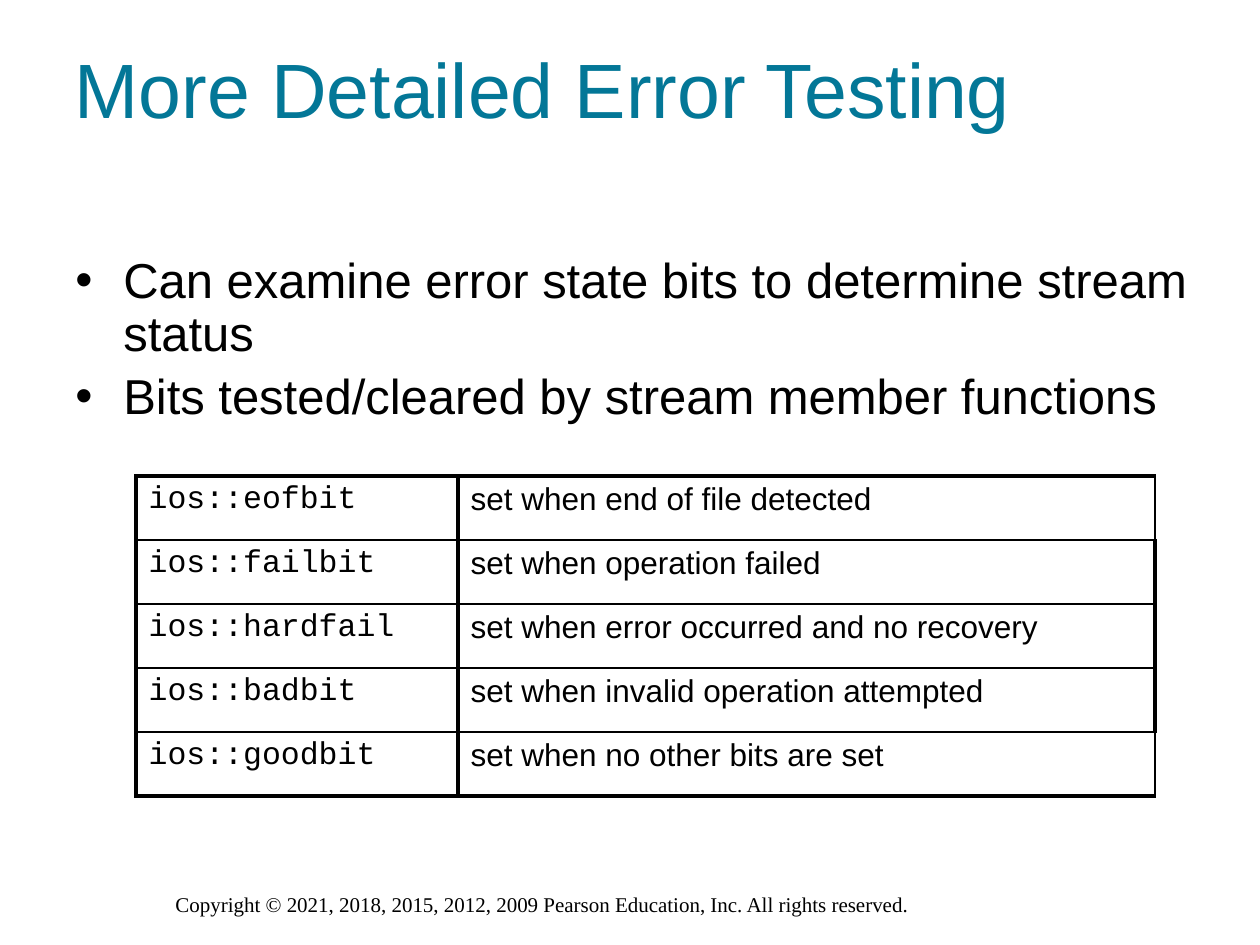
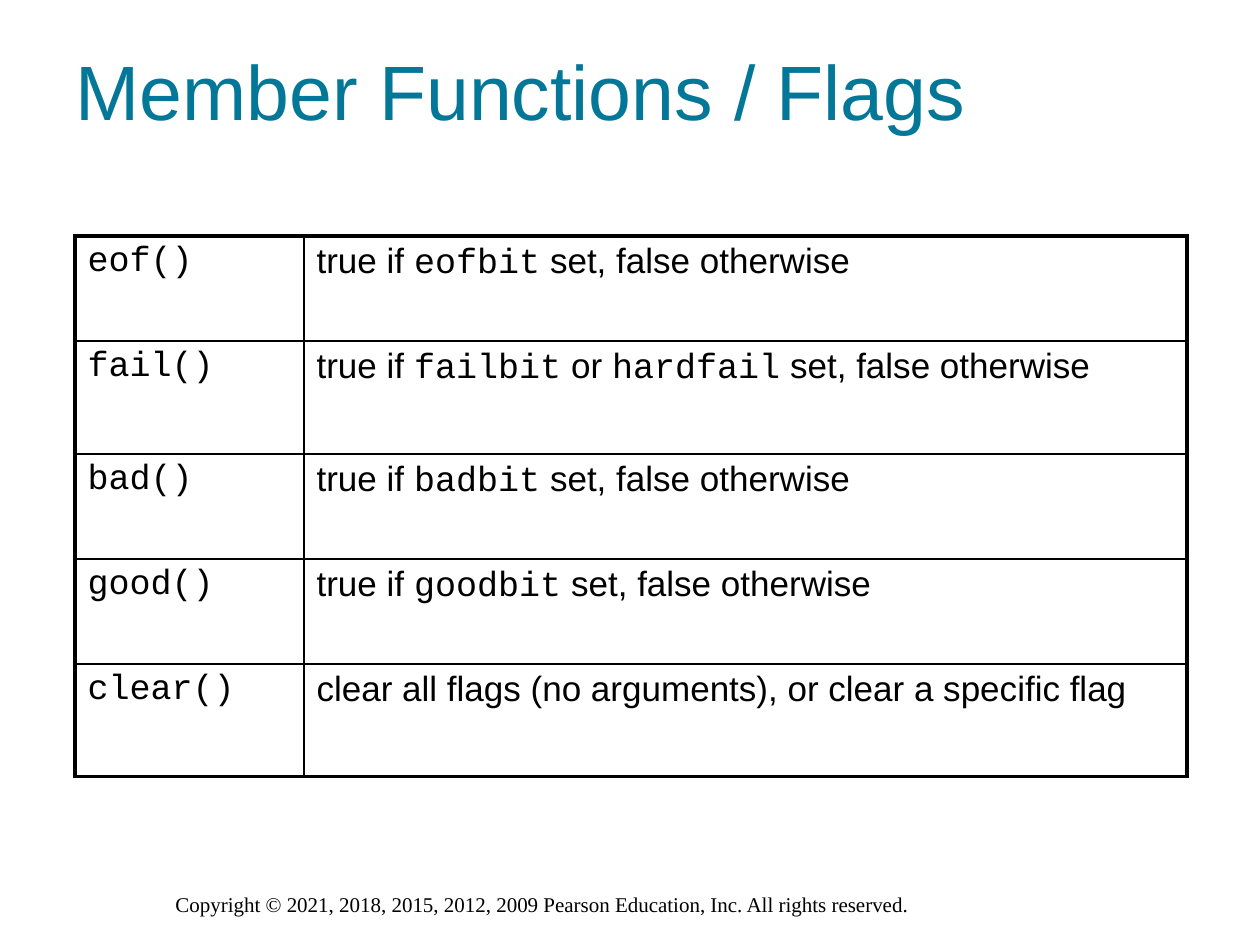
from dataclasses import dataclass

from lxml.etree import SubElement
from pptx import Presentation
from pptx.dml.color import RGBColor
from pptx.enum.text import MSO_ANCHOR, MSO_AUTO_SIZE, PP_ALIGN
from pptx.oxml.ns import qn
from pptx.util import Emu, Pt

EMU_PER_PX = 914400 / 126
TITLE_ONLY = 5


def px(length):
    return Emu(round(length * EMU_PER_PX))


def apply(target, values):
    for name, value in values.items():
        setattr(target, name, value)


@dataclass(frozen=True)
class Theme:
    heading: RGBColor = RGBColor(0x03, 0x77, 0x97)
    ink: RGBColor = RGBColor(0, 0, 0)
    sans: str = "Arial"
    code: str = "Courier New"
    serif: str = "Times New Roman"
    title_size: int = 44
    body_size: int = 28
    footer_size: int = 12
    thick: float = 2.25
    thin: float = 1
    indent: int = 48


class Deck:
    def __init__(self, theme):
        self.theme = theme
        self.presentation = Presentation()
        apply(self.presentation, {"slide_width": px(1260), "slide_height": px(945)})
        self.slide = None

    def start(self, heading, box):
        layout = self.presentation.slide_layouts[TITLE_ONLY]
        self.slide = self.presentation.slides.add_slide(layout)
        title = self.slide.shapes.title
        self.place(title, box)
        apply(title.text_frame, {
            "word_wrap": True,
            "auto_size": MSO_AUTO_SIZE.NONE,
            "vertical_anchor": MSO_ANCHOR.MIDDLE,
        })
        paragraph = title.text_frame.paragraphs[0]
        paragraph.alignment = PP_ALIGN.LEFT
        self.add_text(paragraph, heading, self.theme.title_size, color=self.theme.heading)
        self.footer()

    def place(self, shape, box):
        apply(shape, dict(zip(("left", "top", "width", "height"), map(px, box))))

    def add_text(self, paragraph, text, size, face=None, color=None):
        for index, part in enumerate(text.split("`")):
            if not part:
                continue
            run = paragraph.add_run()
            run.text = part
            is_code = index % 2 == 1
            apply(run.font, {
                "size": Pt(size),
                "name": self.theme.code if is_code else face or self.theme.sans,
            })
            run.font.color.rgb = color or self.theme.ink

    def text_frame(self, box):
        frame = self.slide.shapes.add_textbox(*map(px, box)).text_frame
        frame.word_wrap = True
        return frame

    def footer(self):
        notice = (
            "Copyright © 2021, 2018, 2015, 2012, 2009 Pearson Education, Inc. "
            "All rights reserved."
        )
        frame = self.text_frame((163, 885, 935, 38))
        self.add_text(frame.paragraphs[0], notice, self.theme.footer_size, self.theme.serif)

    def bullets(self, points, box):
        frame = self.text_frame(box)
        size = self.theme.body_size
        for index, point in enumerate(points):
            paragraph = frame.add_paragraph() if index else frame.paragraphs[0]
            properties = paragraph._p.get_or_add_pPr()
            indent = px(self.theme.indent)
            properties.set("marL", str(indent))
            properties.set("indent", str(-indent))
            SubElement(properties, qn("a:buFont"), typeface=self.theme.sans)
            SubElement(properties, qn("a:buChar"), char="•")
            apply(paragraph, {
                "line_spacing": 0.9,
                "space_before": Pt(size * 0.2 if index else 0),
            })
            self.add_text(paragraph, point, size)

    def border(self, cell, widths):
        properties = cell._tc.get_or_add_tcPr()
        for side, width in widths.items():
            line = SubElement(properties, qn(f"a:ln{side}"), w=str(Pt(width)))
            fill = SubElement(line, qn("a:solidFill"))
            SubElement(fill, qn("a:srgbClr"), val=str(self.theme.ink))

    def table(self, entries, origin, columns, heights, size, divider, right_corner):
        thick, thin = self.theme.thick, self.theme.thin
        extent = (sum(columns), sum(heights))
        table = self.slide.shapes.add_table(
            len(entries), len(columns), *map(px, origin + extent)
        ).table
        apply(table, {"first_row": False, "horz_banding": False})
        for column, width in zip(table.columns, columns):
            column.width = px(width)
        last = len(entries) - 1
        for index, (entry, height) in enumerate(zip(entries, heights)):
            table.rows[index].height = px(height)
            right = right_corner if index in (0, last) else thick
            sides = ((thick, divider), (divider, right))
            for position, (text, (left_edge, right_edge)) in enumerate(zip(entry, sides)):
                cell = table.cell(index, position)
                self.border(cell, {
                    "L": left_edge,
                    "R": right_edge,
                    "T": thin if index else thick,
                    "B": thick if index == last else thin,
                })
                cell.fill.background()
                self.add_text(cell.text_frame.paragraphs[0], text, size)


def error_testing(deck):
    deck.start("More Detailed Error Testing", (62, 9, 1134, 158))
    deck.bullets(
        [
            "Can examine error state bits to determine stream status",
            "Bits tested/cleared by stream member functions",
        ],
        (63, 250, 1145, 210),
    )
    state_bits = [
        ("`ios::eofbit`", "set when end of file detected"),
        ("`ios::failbit`", "set when operation failed"),
        ("`ios::hardfail`", "set when error occurred and no recovery"),
        ("`ios::badbit`", "set when invalid operation attempted"),
        ("`ios::goodbit`", "set when no other bits are set"),
    ]
    deck.table(
        state_bits, (136, 476), (322, 697), [64] * len(state_bits), 18,
        divider=deck.theme.thick, right_corner=deck.theme.thin,
    )


def member_functions(deck):
    deck.start("Member Functions / Flags", (63, 32, 1134, 115))
    flag_tests = [
        ("`eof()`", "true if `eofbit` set, false otherwise"),
        ("`fail()`", "true if `failbit` or `hardfail` set, false otherwise"),
        ("`bad()`", "true if `badbit` set, false otherwise"),
        ("`good()`", "true if `goodbit` set, false otherwise"),
        ("`clear()`", "clear all flags (no arguments), or clear a specific flag"),
    ]
    deck.table(
        flag_tests, (75, 236), (229, 883), (105, 113, 105, 105, 113), 20,
        divider=deck.theme.thin, right_corner=deck.theme.thick,
    )


def main():
    deck = Deck(Theme())
    error_testing(deck)
    member_functions(deck)
    deck.presentation.save("out.pptx")


if __name__ == "__main__":
    main()
